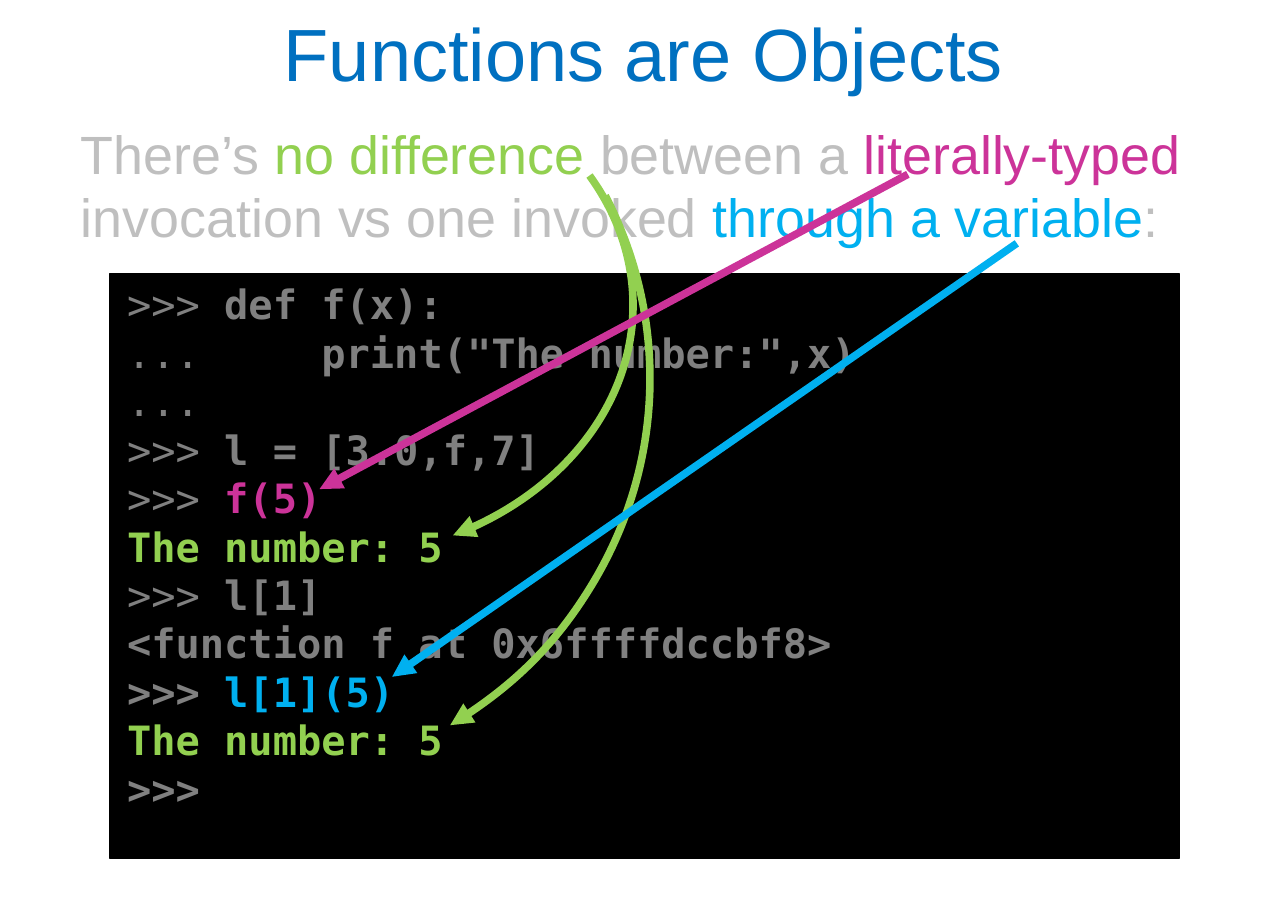
"""Build the slide showing that functions are objects."""
from pptx import Presentation
from pptx.dml.color import RGBColor
from pptx.enum.shapes import MSO_CONNECTOR, MSO_SHAPE
from pptx.enum.text import MSO_ANCHOR, PP_ALIGN
from pptx.oxml.ns import qn
from pptx.util import Inches, Pt
from lxml.etree import SubElement

GREEN, PINK, CYAN = "92D050", "CC3399", "00B0F0"
SILVER, GRAY, BLUE, BLACK = "BFBFBF", "808080", "0070C0", "000000"
SANS, MONO = "Arial", "DejaVu Sans Mono"

TITLE = "Functions are Objects"
INTRO = [
    ("There’s ", SILVER, False),
    ("no difference ", GREEN, False),
    ("between a ", SILVER, False),
    ("literally-typed ", PINK, False),
    ("invocation vs one invoked ", SILVER, False),
    ("through a variable", CYAN, False),
    (":", SILVER, False),
]
CODE = [
    [(">>> ", GRAY, False), ("def f(x):", GRAY, True)],
    [("... ", GRAY, False), ('    print("The number:",x)', GRAY, True)],
    [("...", GRAY, False)],
    [(">>> ", GRAY, False), ("l = [3.0,f,7]", GRAY, True)],
    [(">>> ", GRAY, False), ("f(5)", PINK, True)],
    [("The number: 5", GREEN, True)],
    [(">>> ", GRAY, False), ("l[1]", GRAY, True)],
    [("<function f at 0x6ffffdccbf8>", GRAY, True)],
    [(">>> ", GRAY, True), ("l[1](5)", CYAN, True)],
    [("The number: 5", GREEN, True)],
    [(">>>", GRAY, True)],
]
ARCS = [
    ((0.07, 0.42, 5.16, 4.2), (334.28, 60.12)),
    ((-1.63, -0.25, 7, 6.75), (334.28, 57.15)),
]
LINES = [
    ((7.5, 1.44, 2.64, 4.04), PINK),
    ((8.4, 2.01, 3.24, 5.59), CYAN),
]


def paint(target, color):
    target.rgb = RGBColor.from_string(color)


def write(para, parts, font, size, pitch):
    para.line_spacing = pitch
    for text, color, bold in parts:
        run = para.add_run()
        run.text = text
        run.font.name, run.font.size, run.font.bold = font, Pt(size), bold
        paint(run.font.color, color)


def add_box(slide, *place):
    frame = slide.shapes.add_textbox(*map(Inches, place)).text_frame
    frame.word_wrap = True
    return frame


def add_code(slide):
    panel = slide.shapes.add_shape(
        MSO_SHAPE.RECTANGLE, *map(Inches, (0.91, 2.26, 8.83, 4.83)))
    panel.shadow.inherit = False
    panel.fill.solid()
    paint(panel.fill.fore_color, BLACK)
    paint(panel.line.color, BLACK)
    panel.line.width = Pt(0.75)
    frame = panel.text_frame
    frame.vertical_anchor = MSO_ANCHOR.TOP
    frame.margin_left = Inches(0.14)
    for row, parts in enumerate(CODE):
        para = frame.add_paragraph() if row else frame.paragraphs[0]
        para.alignment = PP_ALIGN.LEFT
        write(para, parts, MONO, 24, Pt(28.8))


def point(shape, color):
    shape.line.width = Pt(4.5)
    paint(shape.line.color, color)
    stroke = shape.line._get_or_add_ln()
    SubElement(stroke, qn("a:tailEnd"), type="triangle")


def main():
    deck = Presentation()
    deck.slide_width, deck.slide_height = Inches(10.64), Inches(7.5)
    slide = deck.slides.add_slide(deck.slide_layouts[6])

    add_code(slide)
    intro = add_box(slide, 0.57, 0.95, 9.41, 1.2)
    write(intro.paragraphs[0], INTRO, SANS, 32, Pt(38))
    title = add_box(slide, 0, 0, 10.64, 0.95)
    title.vertical_anchor = MSO_ANCHOR.MIDDLE
    title.paragraphs[0].alignment = PP_ALIGN.CENTER
    write(title.paragraphs[0], [(TITLE, BLUE, False)], SANS, 44, 0.9)

    for place, angles in ARCS:
        arc = slide.shapes.add_shape(MSO_SHAPE.ARC, *map(Inches, place))
        arc.shadow.inherit = False
        arc.fill.background()
        for index, angle in enumerate(angles):
            arc.adjustments[index] = angle * 0.6
        point(arc, GREEN)
    for ends, color in LINES:
        line = slide.shapes.add_connector(
            MSO_CONNECTOR.STRAIGHT, *map(Inches, ends))
        point(line, color)
        SubElement(line._element.spPr, qn("a:effectLst"))

    deck.save("out.pptx")


if __name__ == "__main__":
    main()
